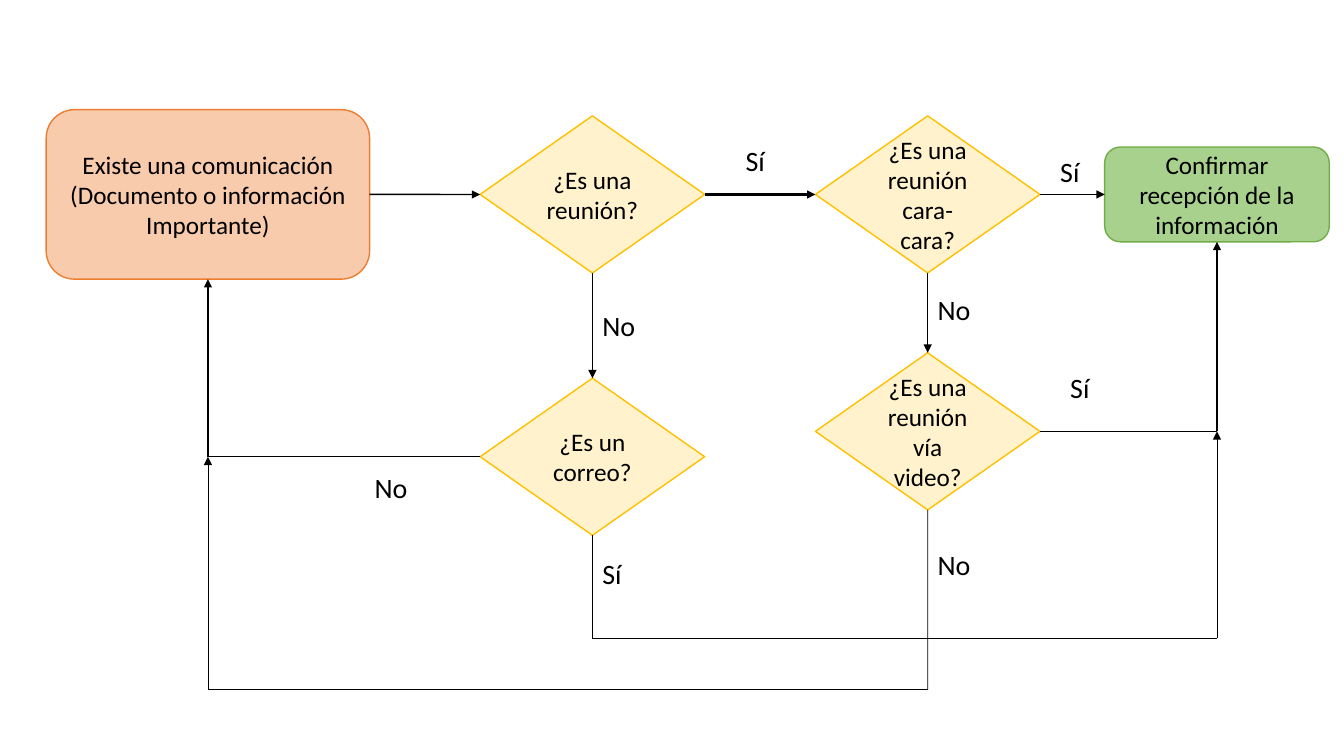
import pptx
import pptx.dml.color
import pptx.enum.shapes
import pptx.enum.text
import pptx.oxml
import pptx.oxml.ns
import pptx.util

Cm, Pt = pptx.util.Cm, pptx.util.Pt
RGBColor = pptx.dml.color.RGBColor
SHAPE = pptx.enum.shapes.MSO_SHAPE
STRAIGHT = pptx.enum.shapes.MSO_CONNECTOR.STRAIGHT

BLACK = RGBColor(0x00, 0x00, 0x00)
PEACH, ORANGE = RGBColor(0xF8, 0xCB, 0xAD), RGBColor(0xED, 0x7D, 0x31)
CREAM, GOLD = RGBColor(0xFF, 0xF2, 0xCC), RGBColor(0xFF, 0xC0, 0x00)
LIGHT_GREEN, GREEN = RGBColor(0xA9, 0xD1, 0x8E), RGBColor(0x70, 0xAD, 0x47)

TOP, LEFT, BOTTOM, RIGHT = range(4)  # connection sites of a box

# Centre lines of the flow, in cm
X_START, X_LEFT, X_RIGHT, X_END = 5.24, 14.93, 23.38, 30.67
Y_MAIN, Y_VIDEO, Y_MAIL = 4.9, 10.87, 11.51
Y_MAIL_YES, Y_VIDEO_NO = 16.08, 17.37
DECISION_W, DECISION_H = 5.66, 3.96


class Flowchart:
    """Holds the slide and the style of the flowchart."""

    font = "Calibri"

    def __init__(self, s):
        self.s = s

    def set_text(self, tf, text, size):
        """Set the text of a frame and format its runs."""
        tf.text = text
        for r in tf.paragraphs[0].runs:
            r.font.name, r.font.size = self.font, Pt(size)
            r.font.color.rgb = BLACK

    def box(self, kind, x, y, w, h, text, fill, line):
        """Add a filled shape centred on (x, y)."""
        sp = self.s.shapes.add_shape(kind, Cm(x - w / 2), Cm(y - h / 2), Cm(w), Cm(h))
        sp.shadow.inherit = False
        sp.fill.solid()
        sp.fill.fore_color.rgb = fill
        sp.line.color.rgb = line
        sp.line.width = Pt(1)
        tf = sp.text_frame
        tf.word_wrap = True
        tf.vertical_anchor = pptx.enum.text.MSO_ANCHOR.MIDDLE
        self.set_text(tf, text, 18)
        tf.paragraphs[0].alignment = pptx.enum.text.PP_ALIGN.CENTER
        return sp

    def decision(self, x, y, text):
        """Add a question diamond centred on (x, y)."""
        return self.box(SHAPE.FLOWCHART_DECISION, x, y, DECISION_W, DECISION_H,
                        text, CREAM, GOLD)

    def label(self, x, y, text):
        """Add an answer with its top left corner at (x, y)."""
        tf = self.s.shapes.add_textbox(Cm(x), Cm(y), Cm(1.47), Cm(1.12)).text_frame
        tf.word_wrap = True
        self.set_text(tf, text, 20)

    def line(self, start, end, width=0.5, arrow=False):
        """Join two ends, each an (x, y) point or a (box, site) pair."""
        c = self.s.shapes.add_connector(STRAIGHT, 0, 0, 0, 0)
        if isinstance(start[0], float):
            c.begin_x, c.begin_y = Cm(start[0]), Cm(start[1])
        else:
            c.begin_connect(*start)
        if isinstance(end[0], float):
            c.end_x, c.end_y = Cm(end[0]), Cm(end[1])
        else:
            c.end_connect(*end)
        c.line.color.rgb = BLACK
        c.line.width = Pt(width)
        ns = pptx.oxml.ns.nsdecls("a")
        if arrow:
            ln = c._element.spPr.find(pptx.oxml.ns.qn("a:ln"))
            ln.append(pptx.oxml.parse_xml(f'<a:tailEnd {ns} type="triangle"/>'))
        c._element.spPr.append(pptx.oxml.parse_xml(f"<a:effectLst {ns}/>"))

    def route(self, *points):
        """Draw a thin bent path that ends in an arrow."""
        legs = list(zip(points, points[1:]))
        for i, (start, end) in enumerate(legs, 1):
            self.line(start, end, arrow=i == len(legs))


def main():
    """Build the slide and save it."""
    prs = pptx.Presentation()
    prs.slide_width, prs.slide_height = Cm(33.87), Cm(19.05)
    chart = Flowchart(prs.slides.add_slide(prs.slide_layouts[6]))

    start = chart.box(SHAPE.ROUNDED_RECTANGLE, X_START, Y_MAIN, 8.15, 4.27,
                      "Existe una comunicación (Documento o información Importante)",
                      PEACH, ORANGE)
    meeting = chart.decision(X_LEFT, Y_MAIN, "¿Es una reunión?")
    face = chart.decision(X_RIGHT, Y_MAIN, "¿Es una reunión cara-cara?")
    mail = chart.decision(X_LEFT, Y_MAIL, "¿Es un correo?")
    video = chart.decision(X_RIGHT, Y_VIDEO, "¿Es una reunión vía video?")
    confirm = chart.box(SHAPE.FLOWCHART_ALTERNATE_PROCESS, X_END, Y_MAIN, 5.66, 2.39,
                        "Confirmar recepción de la información", LIGHT_GREEN, GREEN)

    back, done = (X_START, Y_MAIL), (X_END, Y_VIDEO)  # where the paths merge
    for begin, end, width in (
        ((start, RIGHT), (meeting, LEFT), 1),
        ((meeting, RIGHT), (face, LEFT), 1.5),
        ((face, RIGHT), (confirm, LEFT), 1),
        ((meeting, BOTTOM), (mail, TOP), 1),
        ((face, BOTTOM), (video, TOP), 1),
        (back, (start, BOTTOM), 1),
        (done, (confirm, BOTTOM), 1),
    ):
        chart.line(begin, end, width, arrow=True)
    chart.line((mail, LEFT), back)
    chart.line((video, RIGHT), done, 1)
    chart.route((video, BOTTOM), (X_RIGHT, Y_VIDEO_NO), (X_START, Y_VIDEO_NO), back)
    chart.route((mail, BOTTOM), (X_LEFT, Y_MAIL_YES), (X_END, Y_MAIL_YES), done)

    for x, y, text in (
        (18.54, 3.48, "Sí"), (26.47, 3.78, "Sí"), (26.72, 9.22, "Sí"),
        (X_LEFT, 13.89, "Sí"), (X_LEFT, 7.65, "No"), (9.19, 11.73, "No"),
        (X_RIGHT, 7.24, "No"), (X_RIGHT, 13.67, "No"),
    ):
        chart.label(x, y, text)

    prs.save("out.pptx")


main()
